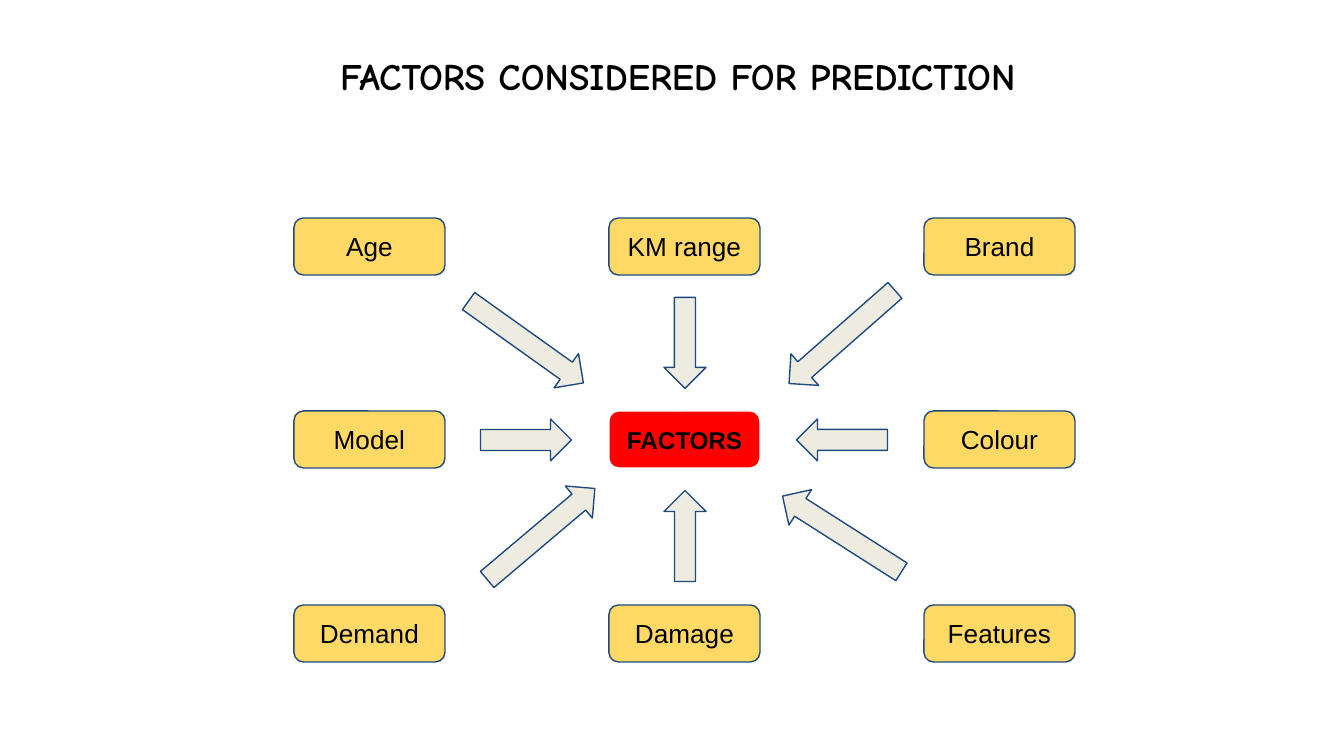
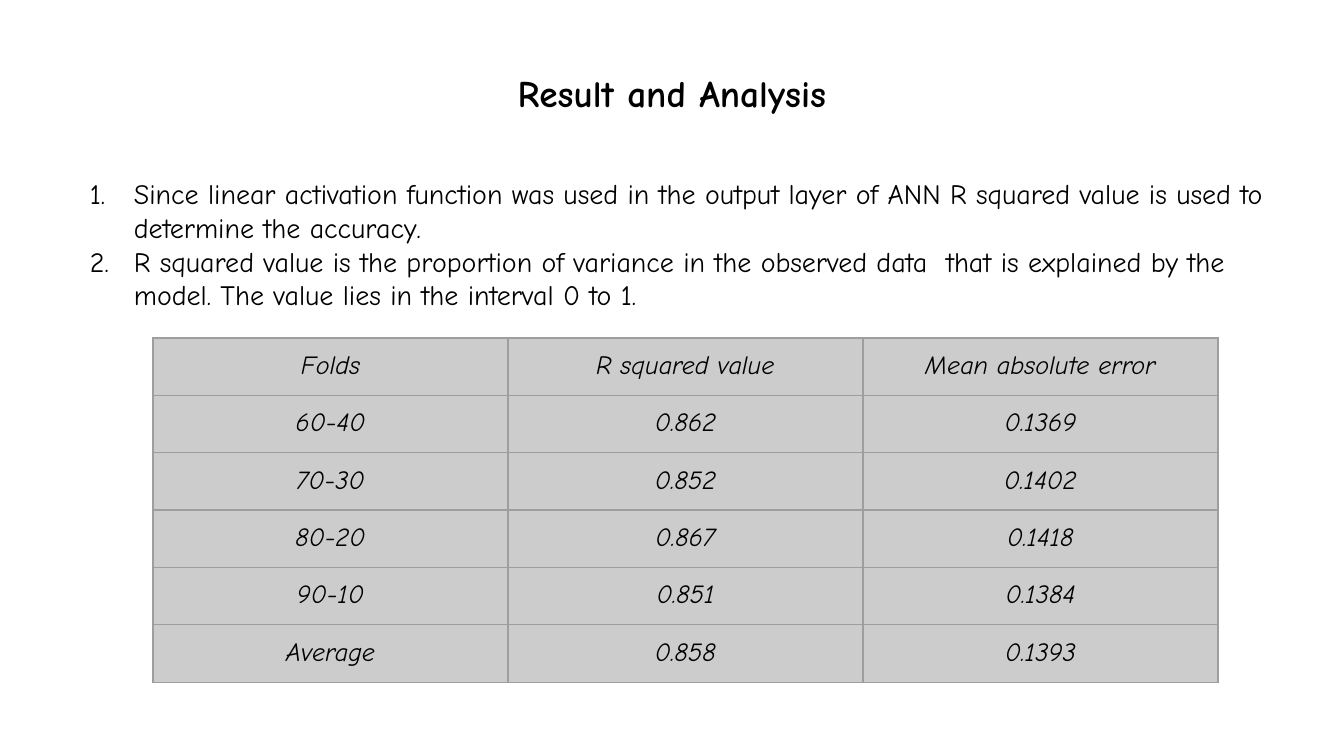
"""Build two slides: the prediction factors and the result analysis."""
from lxml import etree
from pptx import Presentation
from pptx import util as u
from pptx.dml.color import RGBColor
from pptx.enum import shapes, text
from pptx.oxml import ns

FACTOR_GRID = [
    ["Age", "KM range", "Brand"],
    ["Model", "FACTORS", "Colour"],
    ["Demand", "Damage", "Features"],
]
# Each arrow: centre x, centre y, length, rotation.
ARROWS = [
    (685, 343, 91, 0),
    (685, 536, 91, 180),
    (842, 440, 91, 90),
    (526, 440, 91, 270),
    (526, 342, 141, 305.5),
    (842, 337, 141, 48.7),
    (842, 534, 141, 122.5),
    (541, 534, 141, 229.8),
]
FINDINGS = [
    "Since linear activation function was used in the output layer of ANN "
    "R squared value is used to determine the accuracy.",
    "R squared value is the proportion of variance in the observed data  that is "
    "explained by the model. The value lies in the interval 0 to 1.",
]
RESULTS = [
    ("Folds", "R squared value", "Mean absolute error"),
    ("60-40", "0.862", "0.1369"),
    ("70-30", "0.852", "0.1402"),
    ("80-20", "0.867", "0.1418"),
    ("90-10", "0.851", "0.1384"),
    ("Average", "0.858", "0.1393"),
]

BLACK = RGBColor(0x00, 0x00, 0x00)
WHITE = RGBColor(0xFF, 0xFF, 0xFF)
RED = RGBColor(0xFF, 0x00, 0x00)
YELLOW = RGBColor(0xFF, 0xD9, 0x66)
NAVY = RGBColor(0x1F, 0x49, 0x7D)
CREAM = RGBColor(0xEE, 0xEC, 0xE1)
CELL_GREY = RGBColor(0xCC, 0xCC, 0xCC)
BORDER_GREY = RGBColor(0x9E, 0x9E, 0x9E)
HAND_FONT = "Comic Neue"
LABEL_FONT = "Arial"
LINE_WIDTH = u.Pt(0.75)
CENTER = text.PP_ALIGN.CENTER
PAD = 13

SLIDE_W, SLIDE_H = 1344, 756
BOX_W, BOX_H = 151, 57
BOX_LEFTS = (294, 609, 924)
BOX_TOPS = (218, 411, 605)
ARROW_W = 42
COLUMN_W, ROW_H = 355, 57


def px(*lengths):
    return [u.Emu(round(length * 9144000 / SLIDE_W)) for length in lengths]


def style(para, size, font, align=None, bold=False, italic=False):
    para.alignment = align
    for span in para.runs:
        span.font.size = u.Pt(size)
        span.font.name = font
        span.font.bold = bold
        span.font.italic = italic
        span.font.color.rgb = BLACK


def set_margins(frame, margin):
    frame.word_wrap = True
    frame.margin_left, frame.margin_top, frame.margin_right, frame.margin_bottom = px(*[margin] * 4)


def add_text(page, place, content):
    frame = page.shapes.add_textbox(*px(*place)).text_frame
    set_margins(frame, 0)
    frame.text = content
    return frame


def add_title(page, place, content):
    frame = add_text(page, place, content)
    frame.vertical_anchor = text.MSO_ANCHOR.MIDDLE
    style(frame.paragraphs[0], 20, HAND_FONT, CENTER, bold=True)


def add_outlined(page, kind, place, fill, line):
    shape = page.shapes.add_shape(kind, *px(*place))
    shape.shadow.inherit = False
    shape.fill.solid()
    shape.fill.fore_color.rgb = fill
    shape.line.color.rgb = line
    shape.line.width = LINE_WIDTH
    return shape


def add_factor(page, label, left, top):
    central = label == "FACTORS"
    fill, line, size = (RED, WHITE, 13) if central else (YELLOW, NAVY, 14)
    box = add_outlined(page, shapes.MSO_SHAPE.ROUNDED_RECTANGLE, (left, top, BOX_W, BOX_H), fill, line)
    frame = box.text_frame
    set_margins(frame, PAD)
    frame.vertical_anchor = text.MSO_ANCHOR.MIDDLE
    frame.text = label
    style(frame.paragraphs[0], size, LABEL_FONT, CENTER, bold=central)


def number(para):
    props = para._p.get_or_add_pPr()
    indent, hanging = px(67, -44)
    props.set("marL", str(indent))
    props.set("indent", str(hanging))
    color = etree.SubElement(props, ns.qn("a:buClr"))
    etree.SubElement(color, ns.qn("a:srgbClr"), val=str(BLACK))
    etree.SubElement(props, ns.qn("a:buFont"), typeface=HAND_FONT)
    etree.SubElement(props, ns.qn("a:buAutoNum"), type="arabicPeriod")


def add_borders(cell):
    props = cell._tc.get_or_add_tcPr()
    for side in ("lnL", "lnR", "lnT", "lnB"):
        line = etree.SubElement(props, ns.qn(f"a:{side}"), w=str(LINE_WIDTH))
        fill = etree.SubElement(line, ns.qn("a:solidFill"))
        etree.SubElement(fill, ns.qn("a:srgbClr"), val=str(BORDER_GREY))


def add_results(page, left, top):
    rows, columns = len(RESULTS), len(RESULTS[0])
    place = px(left, top, COLUMN_W * columns, ROW_H * rows)
    table = page.shapes.add_table(rows, columns, *place).table
    table.first_row = table.horz_banding = False
    for r, values in enumerate(RESULTS):
        for c, value in enumerate(values):
            cell = table.cell(r, c)
            add_borders(cell)
            cell.fill.solid()
            cell.fill.fore_color.rgb = CELL_GREY
            cell.margin_left, cell.margin_top, cell.margin_right, cell.margin_bottom = px(*[PAD] * 4)
            cell.text_frame.text = value
            style(cell.text_frame.paragraphs[0], 14, HAND_FONT, CENTER, italic=True)


def build_factors(page):
    add_title(page, (151, 30, 1054, 91), "FACTORS CONSIDERED FOR PREDICTION")
    for top, labels in zip(BOX_TOPS, FACTOR_GRID):
        for left, label in zip(BOX_LEFTS, labels):
            add_factor(page, label, left, top)
    for x, y, length, rotation in ARROWS:
        place = (x - ARROW_W / 2, y - length / 2, ARROW_W, length)
        arrow = add_outlined(page, shapes.MSO_SHAPE.DOWN_ARROW, place, CREAM, NAVY)
        arrow.rotation = rotation


def build_results(page):
    add_title(page, (67, 30, 1210, 126), "Result and Analysis")
    findings = add_text(page, (67, 177, 1210, 438), "\n".join(FINDINGS))
    for para in findings.paragraphs:
        style(para, 15, HAND_FONT)
        number(para)
    add_results(page, 153, 338)


def main():
    deck = Presentation()
    deck.slide_width, deck.slide_height = px(SLIDE_W, SLIDE_H)
    for build in (build_factors, build_results):
        build(deck.slides.add_slide(deck.slide_layouts[6]))
    deck.save("out.pptx")


if __name__ == "__main__":
    main()
